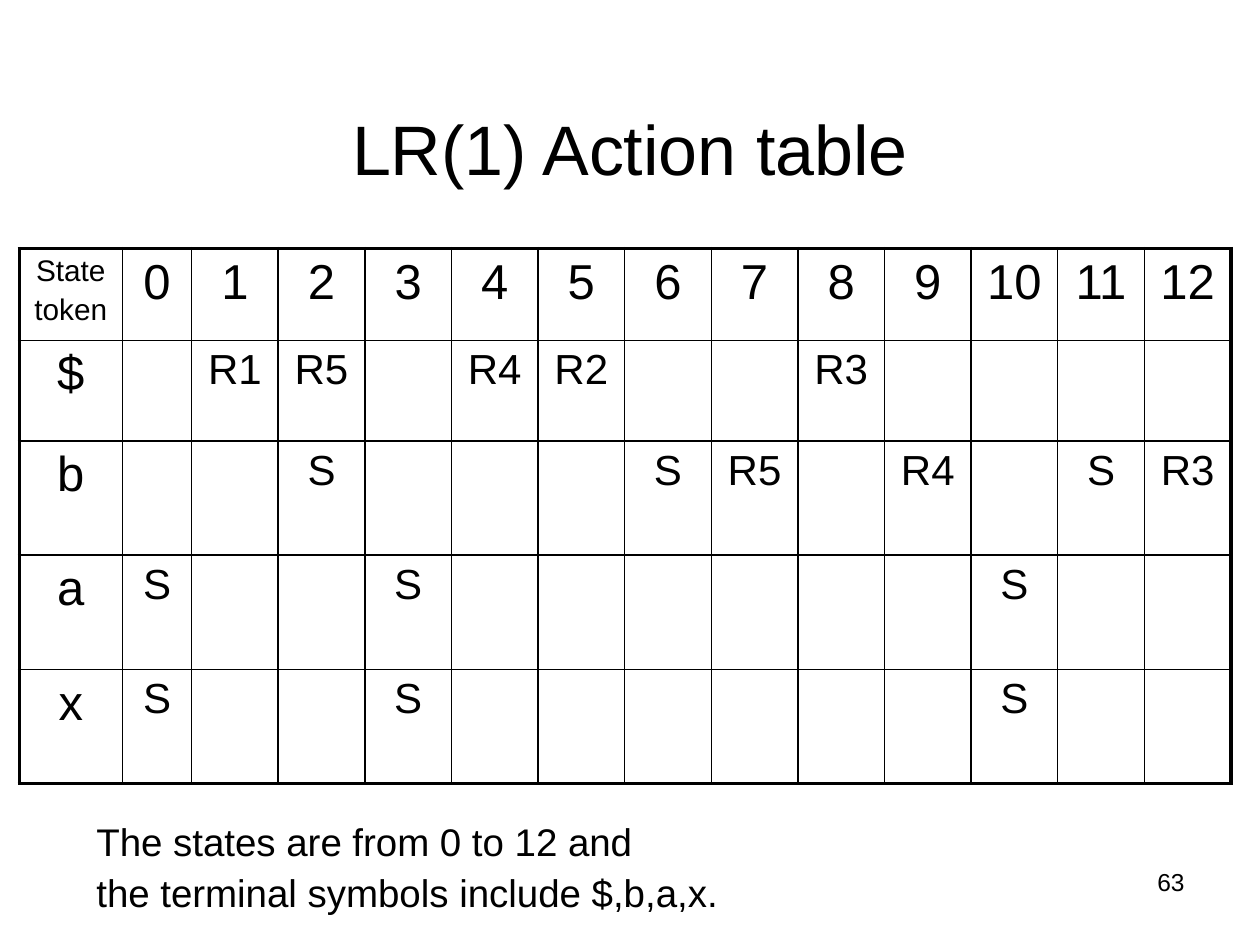
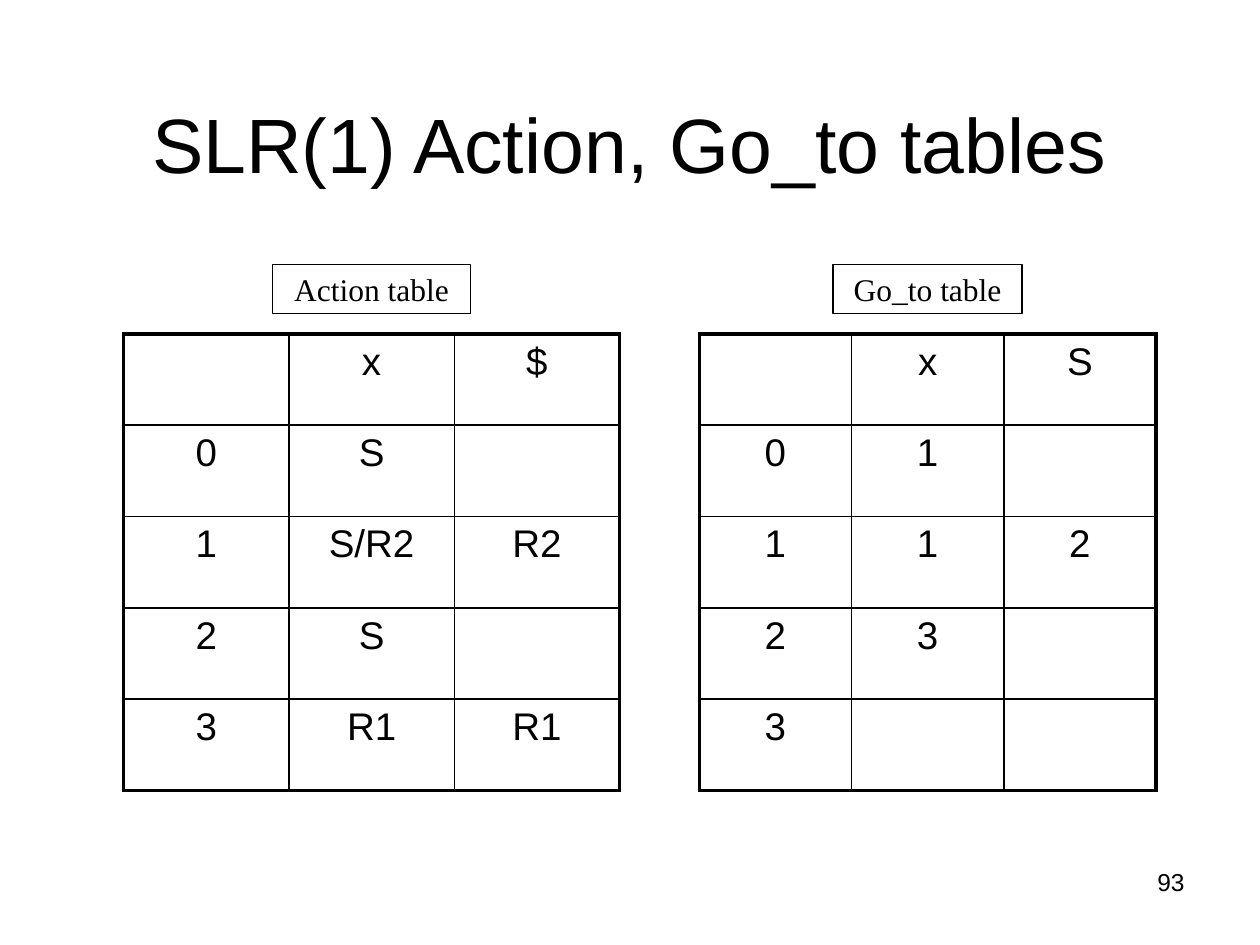
"""Build two slides of parser tables."""
from dataclasses import dataclass

from lxml.etree import SubElement
from pptx import Presentation
from pptx.dml.color import RGBColor
from pptx.enum.shapes import MSO_SHAPE
from pptx.enum.text import MSO_ANCHOR, PP_ALIGN
from pptx.oxml.ns import qn
from pptx.util import Pt


@dataclass(frozen=True)
class Theme:
    ink: str = "000000"
    paper: str = "FFFFFF"
    sans: str = "Arial"
    serif: str = "Times New Roman"
    page: float = 14
    corner: float = 17
    label: float = 18
    body: float = 22
    entry: float = 24
    head: float = 28
    thin: float = 1
    thick: float = 2.25
    frame: float = 0.75


THEME = Theme()

STATES = {
    "title": "LR(1) Action table",
    "size": 40,
    "page": "63",
    "note": "The states are from 0 to 12 and\nthe terminal symbols include $,b,a,x.",
    "tokens": {
        "$": {1: "R1", 2: "R5", 4: "R4", 5: "R2", 8: "R3"},
        "b": {2: "S", 6: "S", 7: "R5", 9: "R4", 11: "S", 12: "R3"},
        "a": {0: "S", 3: "S", 10: "S"},
        "x": {0: "S", 3: "S", 10: "S"},
    },
}

PAIR = {
    "title": "SLR(1) Action, Go_to tables",
    "size": 44,
    "page": "93",
    "tables": [
        {
            "label": "Action table", "left": 70.6, "col": 94.5, "wide": 113,
            "rows": [["", "x", "$"], ["0", "S", ""], ["1", "S/R2", "R2"],
                     ["2", "S", ""], ["3", "R1", "R1"]],
        },
        {
            "label": "Go_to table", "left": 399.6, "col": 87, "wide": 108,
            "rows": [["", "x", "S"], ["0", "1", ""], ["1", "1", "2"],
                     ["2", "3", ""], ["3", "", ""]],
        },
    ],
}


def write(frame, text, size, align=PP_ALIGN.LEFT, font=THEME.sans, gap=0, lead=None):
    frame.text = text
    for index, para in enumerate(frame.paragraphs):
        para.alignment = align
        if lead:
            para.line_spacing = lead
        if index:
            para.space_before = Pt(gap)
        for run in para.runs:
            run.font.size = Pt(size)
            run.font.name = font
            run.font.color.rgb = RGBColor.from_string(THEME.ink)


def add_text(slide, box, text, size, anchor=MSO_ANCHOR.TOP, **style):
    frame = slide.shapes.add_textbox(*map(Pt, box)).text_frame
    frame.word_wrap = True
    frame.vertical_anchor = anchor
    write(frame, text, size, **style)


def add_base(deck, data):
    slide = deck.slides.add_slide(deck.slide_layouts[6])
    add_text(slide, (516, 492, 168, 37), data["page"], THEME.page, align=PP_ALIGN.RIGHT)
    add_text(slide, (36, 21.6, 648, 90), data["title"], data["size"],
             MSO_ANCHOR.BOTTOM, align=PP_ALIGN.CENTER)
    return slide


def edge(cell, outer):
    props = cell._tc.get_or_add_tcPr()
    for side, thick in outer.items():
        width = Pt(THEME.thick if thick else THEME.thin)
        line = SubElement(props, qn(f"a:{side}"), w=str(width))
        fill = SubElement(line, qn("a:solidFill"))
        SubElement(fill, qn("a:srgbClr"), val=THEME.ink)


def add_grid(slide, left, top, cols, highs, rows, size_at):
    table = slide.shapes.add_table(len(highs), len(cols), Pt(left), Pt(top),
                                   Pt(sum(cols)), Pt(sum(highs))).table
    table.first_row = table.horz_banding = False
    for col, width in zip(table.columns, cols):
        col.width = Pt(width)
    for row, high in zip(table.rows, highs):
        row.height = Pt(high)
    for r, row in enumerate(rows):
        for c, text in enumerate(row):
            cell = table.cell(r, c)
            write(cell.text_frame, text, size_at(r, c), PP_ALIGN.CENTER, gap=3)
            edge(cell, {"lnL": c == 0, "lnR": c == len(cols) - 1,
                        "lnT": r == 0, "lnB": r == len(highs) - 1})
            cell.fill.background()


def add_label(slide, mid, width, text):
    box = slide.shapes.add_shape(MSO_SHAPE.RECTANGLE, Pt(mid - width / 2), Pt(151.2),
                                 Pt(width), Pt(28))
    box.shadow.inherit = False
    box.fill.solid()
    box.fill.fore_color.rgb = RGBColor.from_string(THEME.paper)
    box.line.color.rgb = RGBColor.from_string(THEME.ink)
    box.line.width = Pt(THEME.frame)
    box.text_frame.word_wrap = False
    box.text_frame.vertical_anchor = MSO_ANCHOR.MIDDLE
    write(box.text_frame, text, THEME.label, PP_ALIGN.CENTER, THEME.serif)


def state_size(r, c):
    if r == c == 0:
        return THEME.corner
    return THEME.entry if r and c else THEME.head


def add_states(deck):
    slide = add_base(deck, STATES)
    span = range(13)
    rows = [["State\ntoken", *map(str, span)]]
    rows += [[token, *(acts.get(n, "") for n in span)]
             for token, acts in STATES["tokens"].items()]
    add_grid(slide, 11, 142, [59, 39.5] + [49.5] * 12,
             [52.5, 57.5] + [65.3] * 3, rows, state_size)
    add_text(slide, (48, 467, 652, 58), STATES["note"], THEME.body, gap=5.5, lead=0.9)


def add_pair(deck):
    slide = add_base(deck, PAIR)
    for item in PAIR["tables"]:
        add_grid(slide, item["left"], 190.8, [item["col"]] * 3, [52.2] * 5,
                 item["rows"], lambda r, c: THEME.body)
        add_label(slide, item["left"] + item["col"] * 1.5, item["wide"], item["label"])


def main():
    deck = Presentation()
    deck.slide_width, deck.slide_height = Pt(720), Pt(540)
    add_states(deck)
    add_pair(deck)
    deck.save("out.pptx")


if __name__ == "__main__":
    main()
